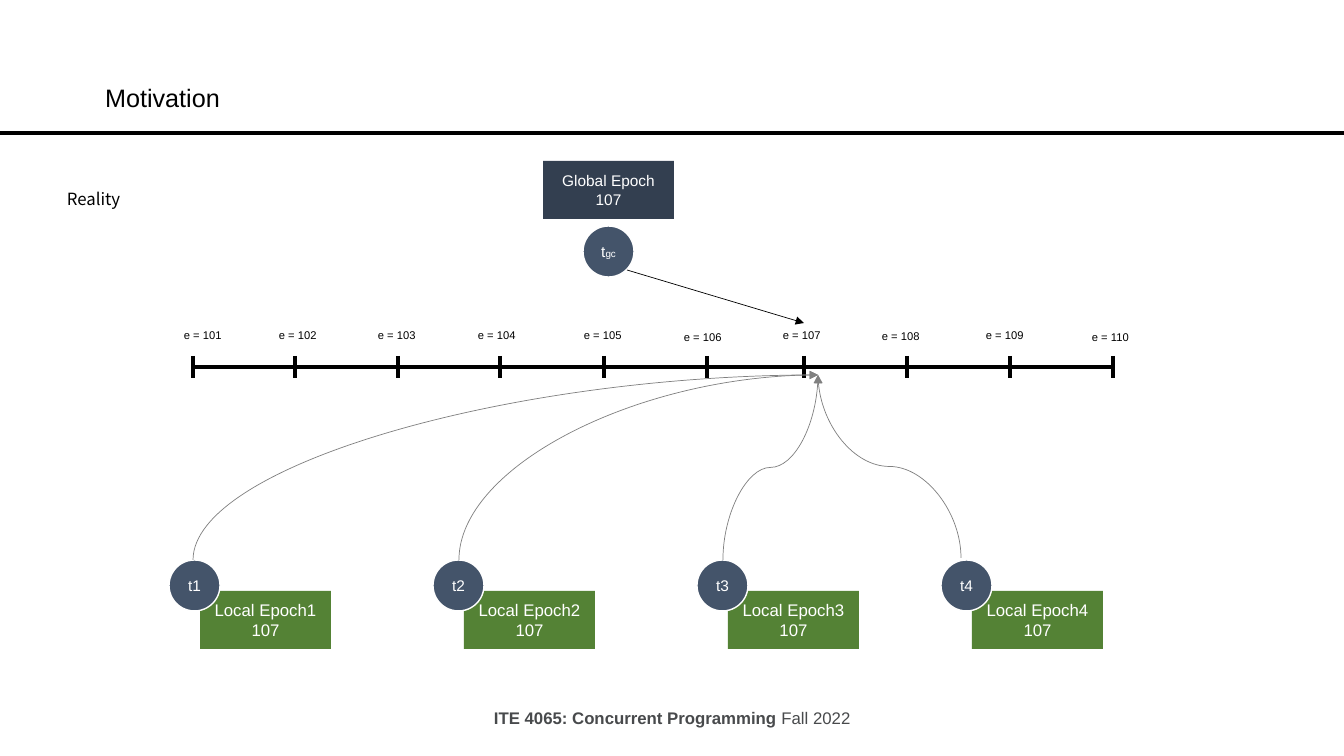
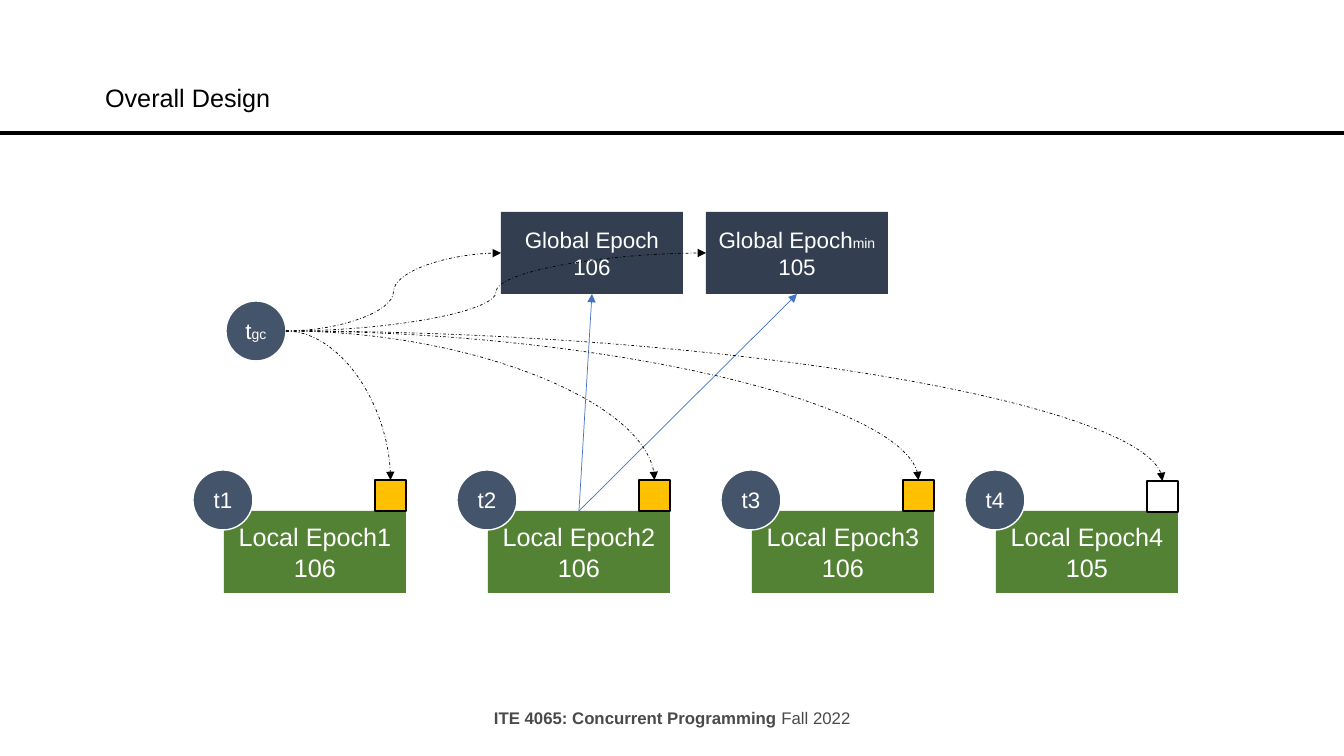
from dataclasses import dataclass

from lxml import etree
from pptx import Presentation
from pptx.dml.color import RGBColor
from pptx.enum.dml import MSO_LINE
from pptx.enum.shapes import MSO_CONNECTOR, MSO_SHAPE
from pptx.enum.text import MSO_ANCHOR, MSO_AUTO_SIZE, PP_ALIGN
from pptx.oxml.ns import qn
from pptx.util import Pt

RECT, OVAL = MSO_SHAPE.RECTANGLE, MSO_SHAPE.OVAL
STRAIGHT, CURVE = MSO_CONNECTOR.STRAIGHT, MSO_CONNECTOR.CURVE
TOP, BOTTOM = 0, 2
TITLE_ONLY = 5
EMU_PER_PX = 914400 / 100.8
SLIDE_W, SLIDE_H = 1344, 756


@dataclass(frozen=True)
class Theme:
    font: str = "Arial"
    note_font: str = "Noto Sans CJK KR"
    black: RGBColor = RGBColor(0x00, 0x00, 0x00)
    white: RGBColor = RGBColor(0xFF, 0xFF, 0xFF)
    footer: RGBColor = RGBColor(0x48, 0x4A, 0x4C)
    local: RGBColor = RGBColor(0x54, 0x82, 0x35)
    thread: RGBColor = RGBColor(0x44, 0x54, 0x6A)
    shared: RGBColor = RGBColor(0x33, 0x3F, 0x50)
    flag: RGBColor = RGBColor(0xFF, 0xC0, 0x00)
    grey: RGBColor = RGBColor(0x80, 0x80, 0x80)
    blue: RGBColor = RGBColor(0x44, 0x72, 0xC4)
    title_size: int = 18
    body_size: int = 12
    tick_size: int = 8
    thin: float = 0.5
    outline: float = 1
    axis: float = 2.25
    rule: float = 3


@dataclass(frozen=True)
class Scale:
    """Box, circle and type sizes of one diagram."""
    box: tuple
    circle: int
    local_size: int
    text_size: int
    small_size: int


THEME = Theme()
SMALL = Scale((131, 58), 51, 12, 11, 7)
LARGE = Scale((182, 82), 60, 18, 16, 10)

FOOTER = ("ITE 4065: Concurrent Programming ", "Fall 2022")
GC_THREAD = [("t", "gc")]
LOCAL_X = (200, 464, 728, 972)

# epoch, tick x, label x, label y
TICKS = [
    (101, 193, 174, 323), (102, 295, 269, 323), (103, 398, 368, 323),
    (104, 500, 468, 323), (105, 604, 574, 323), (106, 707, 674, 325),
    (107, 804, 773, 323), (108, 907, 872, 324), (109, 1010, 976, 323),
    (110, 1113, 1082, 325),
]
AXIS_Y, TICK_HALF = 367, 11
EPOCH_107 = (818, 375)
# start, curve preset
EPOCH_CURVES = [((193, 560), 2), ((459, 560), 2), ((723, 560), 3), ((961, 558), 3)]

# local epoch, flag colour, flag top
DESIGN_LOCALS = [
    (106, THEME.flag, 480), (106, THEME.flag, 480),
    (106, THEME.flag, 480), (105, THEME.white, 481),
]
DESIGN_SHIFT, FLAG = 24, 31
DESIGN_GLOBALS = [
    (501, [("Global Epoch",), ("106",)]),
    (706, [("Global Epoch", "min"), ("105",)]),
]


def px(*lengths):
    return [round(n * EMU_PER_PX) for n in lengths]


def write(tf, lines, size, color, font=THEME.font, align=PP_ALIGN.LEFT, small=None):
    """Fill a frame; each line is a main text and, optionally, a smaller suffix."""
    tf.word_wrap = False
    for i, line in enumerate(lines):
        p = tf.add_paragraph() if i else tf.paragraphs[0]
        p.alignment = align
        p.font.name, p.font.size, p.font.color.rgb = font, Pt(size), color
        for j, text in enumerate(line):
            r = p.add_run()
            r.text = text
            if j and small:
                r.font.size = Pt(small)


def add_text(s, box, lines, size, color=THEME.black, font=THEME.font):
    tf = s.shapes.add_textbox(*px(*box)).text_frame
    write(tf, lines, size, color, font)
    return tf


def add_block(s, kind, box, fill, outline=None, lines=(), size=None, small=None):
    sp = s.shapes.add_shape(kind, *px(*box))
    sp.shadow.inherit = False
    sp.fill.solid()
    sp.fill.fore_color.rgb = fill
    if outline is None:
        sp.line.fill.background()
    else:
        sp.line.color.rgb = outline
        sp.line.width = Pt(THEME.outline)
    sp.text_frame.vertical_anchor = MSO_ANCHOR.MIDDLE
    write(sp.text_frame, lines, size, THEME.white, align=PP_ALIGN.CENTER, small=small)
    return sp


def add_line(s, start, end, color, width, arrow=False, dash=None, kind=STRAIGHT):
    line = s.shapes.add_connector(kind, *px(*start, *end))
    line.line.color.rgb = color
    line.line.width = Pt(width)
    if dash is not None:
        line.line.dash_style = dash
    sp_pr = line._element.spPr
    if arrow:
        etree.SubElement(sp_pr.find(qn("a:ln")), qn("a:tailEnd"), type="triangle")
    etree.SubElement(sp_pr, qn("a:effectLst"))
    return line


def add_curve(s, start, end, preset, color, dash=None, rising=False):
    """Curved arrow; a rising one leaves upwards, as a frame turned by 90 or 270 degrees."""
    turn = 0
    if rising:
        (x1, y1), (x2, y2) = start, end
        cx, cy, dx, dy = (x1 + x2) / 2, (y1 + y2) / 2, (x2 - x1) / 2, (y2 - y1) / 2
        sign, turn = (1, 90) if dx > 0 else (-1, 270)
        start = (cx - sign * dy, cy + sign * dx)
        end = (cx + sign * dy, cy - sign * dx)
    line = add_line(s, start, end, color, THEME.thin, True, dash, CURVE)
    sp_pr = line._element.spPr
    sp_pr.find(qn("a:prstGeom")).set("prst", f"curvedConnector{preset}")
    if turn:
        sp_pr.find(qn("a:xfrm")).set("rot", str(turn * 60000))


def add_circle(s, x, y, lines, scale):
    add_block(s, OVAL, (x, y, scale.circle, scale.circle), THEME.thread, THEME.white,
              lines, scale.text_size, scale.small_size)


def add_global(s, x, y, lines, scale):
    return add_block(s, RECT, (x, y, *scale.box), THEME.shared, None,
                     lines, scale.text_size, scale.small_size)


def add_local(s, number, x, y, circle_y, epoch, scale):
    """Local epoch box with its thread's circle over the top left corner."""
    lines = [(f"Local Epoch{number}",), (str(epoch),)]
    box = add_block(s, RECT, (x, y, *scale.box), THEME.local, None, lines, scale.local_size)
    add_circle(s, x - 31, circle_y, [(f"t{number}",)], scale)
    return box


def add_slide(prs, title):
    s = prs.slides.add_slide(prs.slide_layouts[TITLE_ONLY])
    sp = s.shapes.title
    sp.left, sp.top, sp.width, sp.height = px(95, 77, 564, 40)
    tf = sp.text_frame
    tf.auto_size = MSO_AUTO_SIZE.NONE
    tf.vertical_anchor = MSO_ANCHOR.TOP
    write(tf, [(title,)], THEME.title_size, THEME.black)
    tf.word_wrap = True
    add_line(s, (0, 133), (SLIDE_W, 133), THEME.black, THEME.rule)
    footer = add_text(s, (484, 703, 377, 30), [FOOTER], THEME.body_size, THEME.footer)
    footer.paragraphs[0].runs[0].font.bold = True
    return s


def add_timeline(s):
    add_line(s, (TICKS[0][1], AXIS_Y), (TICKS[-1][1], AXIS_Y), THEME.black, THEME.axis)
    for epoch, x, label_x, label_y in TICKS:
        add_line(s, (x, AXIS_Y - TICK_HALF), (x, AXIS_Y + TICK_HALF), THEME.black, THEME.axis)
        add_text(s, (label_x, label_y, 62, 24), [(f"e = {epoch}",)], THEME.tick_size)


def build_motivation(prs):
    s = add_slide(prs, "Motivation")
    add_text(s, (57, 184, 75, 30), [("Reality",)], THEME.body_size, font=THEME.note_font)
    for number, x in enumerate(LOCAL_X, 1):
        add_local(s, number, x, 591, 560, 107, SMALL)
    add_global(s, 543, 161, [("Global Epoch",), ("107",)], SMALL)
    add_circle(s, 583, 226, GC_THREAD, SMALL)
    add_timeline(s)
    add_line(s, (627, 270), (804, 323), THEME.black, THEME.thin, arrow=True)
    for start, preset in EPOCH_CURVES:
        add_curve(s, start, EPOCH_107, preset, THEME.grey, rising=True)


def build_design(prs):
    s = add_slide(prs, "Overall Design")
    width, height = LARGE.box
    local_y, global_y, gc_x, gc_y = 511, 212, 226, 301
    gc_side = (gc_x + LARGE.circle, gc_y + LARGE.circle // 2)
    locals_, flags = [], []
    for number, (x, (epoch, color, flag_y)) in enumerate(zip(LOCAL_X, DESIGN_LOCALS), 1):
        x += DESIGN_SHIFT
        locals_.append(add_local(s, number, x, local_y, 470, epoch, LARGE))
        flag_x = x + width - FLAG
        add_block(s, RECT, (flag_x, flag_y, FLAG, FLAG), color, THEME.black)
        flags.append((flag_x + FLAG / 2, flag_y))
    add_circle(s, gc_x, gc_y, GC_THREAD, LARGE)
    globals_ = [add_global(s, x, global_y, lines, LARGE) for x, lines in DESIGN_GLOBALS]
    for box in globals_:
        line = add_line(s, (0, 0), (1, 1), THEME.blue, THEME.thin, arrow=True)
        line.begin_connect(locals_[1], TOP)
        line.end_connect(box, BOTTOM)
    for flag in flags:
        add_curve(s, gc_side, flag, 2, THEME.black, MSO_LINE.DASH_DOT)
    for x, _ in DESIGN_GLOBALS:
        add_curve(s, gc_side, (x, global_y + height / 2), 3, THEME.black, MSO_LINE.DASH_DOT)


def main():
    prs = Presentation()
    prs.slide_width, prs.slide_height = px(SLIDE_W, SLIDE_H)
    build_motivation(prs)
    build_design(prs)
    prs.save("out.pptx")


if __name__ == "__main__":
    main()
